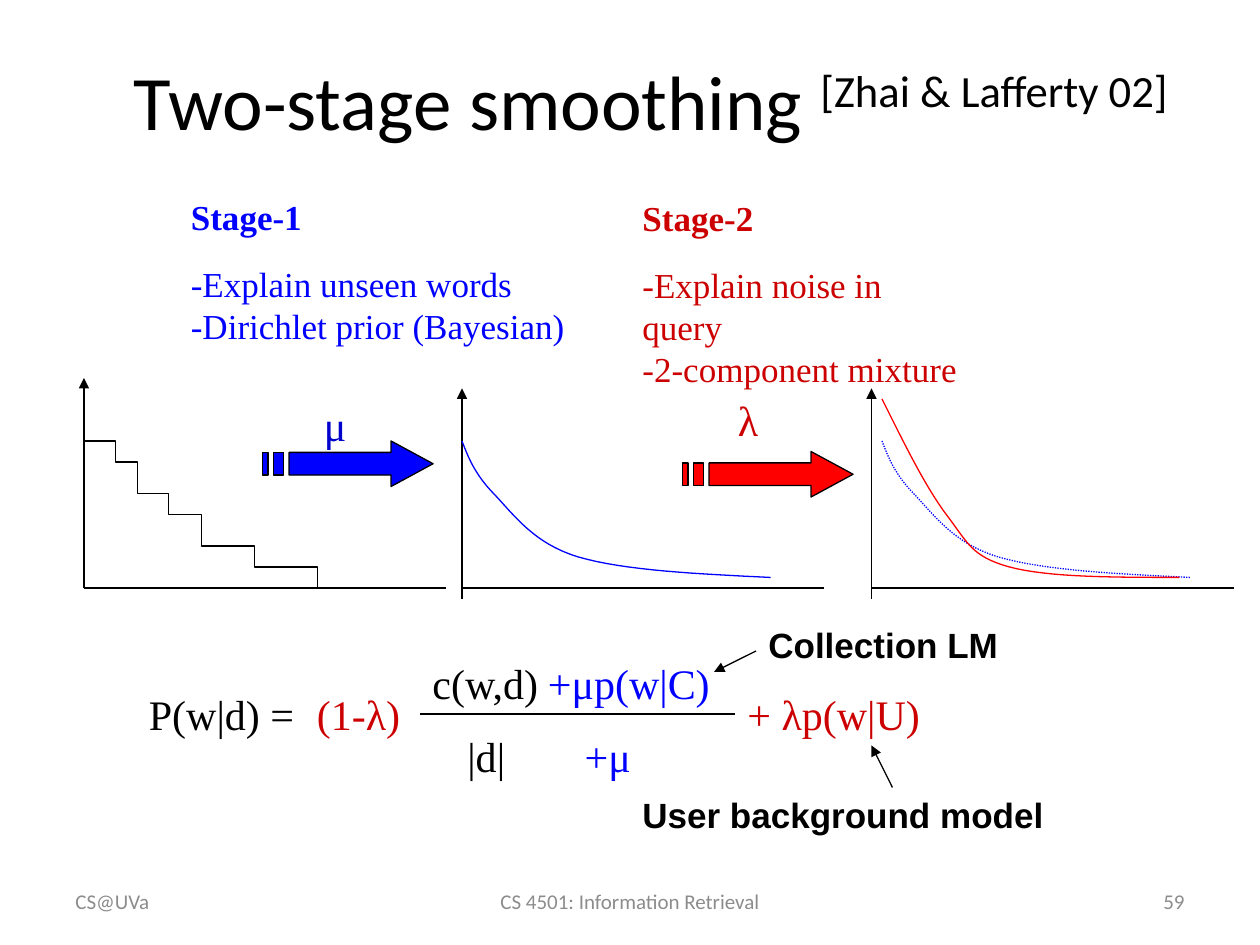
from dataclasses import dataclass

from lxml.etree import SubElement
from pptx import Presentation
from pptx.dml.color import RGBColor
from pptx.enum.dml import MSO_LINE
from pptx.enum.shapes import MSO_CONNECTOR
from pptx.enum.text import MSO_ANCHOR, MSO_AUTO_SIZE, PP_ALIGN
from pptx.oxml.ns import qn
from pptx.util import Pt

Point = tuple[float, float]


@dataclass(frozen=True)
class Theme:
    black: str = "000000"
    grey: str = "8C8C8C"
    blue: str = "0000FF"
    dark_blue: str = "0000CC"
    red: str = "FF0000"
    dark_red: str = "CC0000"
    sans: str = "Calibri"
    serif: str = "Times New Roman"
    label: str = "Arial"
    title_size: float = 44
    formula_size: float = 24
    body_size: float = 20
    footer_size: float = 12
    stage_gap: float = 14.5
    line_width: float = 0.75


THEME = Theme()


@dataclass(frozen=True)
class Label:
    lines: tuple[str, ...]
    box: tuple[float, float, float, float]
    color: str = THEME.black
    font: str = THEME.serif
    size: float = THEME.formula_size
    bold_first: bool = False
    wrap: bool = False
    align: PP_ALIGN = PP_ALIGN.LEFT
    anchor: MSO_ANCHOR = MSO_ANCHOR.TOP


@dataclass(frozen=True)
class Line:
    start: Point
    end: Point
    arrow: bool = False


@dataclass(frozen=True)
class Curve:
    origin: Point
    controls: tuple[Point, ...]
    color: str
    dash: MSO_LINE | None = None


def apply_format(target, values: dict) -> None:
    for name, value in values.items():
        setattr(target, name, value)


def set_line(line, color: str = THEME.black, dash: MSO_LINE | None = None) -> None:
    line.color.rgb = RGBColor.from_string(color)
    apply_format(line, {"width": Pt(THEME.line_width), "dash_style": dash})


def draw_label(slide, label: Label):
    shape = slide.shapes.add_textbox(*map(Pt, label.box))
    frame = shape.text_frame
    grows = label.anchor == MSO_ANCHOR.TOP
    apply_format(frame, {
        "word_wrap": label.wrap,
        "vertical_anchor": label.anchor,
        "auto_size": MSO_AUTO_SIZE.SHAPE_TO_FIT_TEXT if grows else MSO_AUTO_SIZE.NONE,
    })
    for index, text in enumerate(label.lines):
        paragraph = frame.add_paragraph() if index else frame.paragraphs[0]
        paragraph.alignment = label.align
        if index == 1:
            paragraph.space_before = Pt(THEME.stage_gap)
        run = paragraph.add_run()
        run.text = text
        apply_format(run.font, {
            "name": label.font,
            "size": Pt(label.size),
            "bold": label.bold_first and index == 0,
        })
        run.font.color.rgb = RGBColor.from_string(label.color)
    return shape


def draw_title(slide, text: str, citation: str) -> None:
    shape = draw_label(slide, Label(
        (text,), (54, 12, 636, 90), font=THEME.sans, size=THEME.title_size,
        wrap=True, align=PP_ALIGN.CENTER, anchor=MSO_ANCHOR.MIDDLE))
    run = shape.text_frame.paragraphs[0].add_run()
    run.text = citation
    apply_format(run.font, {"name": THEME.sans, "size": Pt(THEME.title_size)})
    run.font.color.rgb = RGBColor.from_string(THEME.black)
    run.font._element.set("baseline", "30000")


def draw_line(slide, line: Line) -> None:
    connector = slide.shapes.add_connector(
        MSO_CONNECTOR.STRAIGHT, *map(Pt, line.start + line.end))
    set_line(connector.line)
    if line.arrow:
        SubElement(connector.line._get_or_add_ln(), qn("a:tailEnd"), type="triangle")
    SubElement(connector._element.spPr, qn("a:effectLst"))


def draw_outline(slide, origin: Point, contours: list[list[Point]],
                 closed: bool = False, color: str = THEME.black,
                 dash: MSO_LINE | None = None, fill: str | None = None) -> None:
    placed = [[(Pt(origin[0] + x), Pt(origin[1] + y)) for x, y in contour]
              for contour in contours]
    builder = slide.shapes.build_freeform(*placed[0][0])
    for index, points in enumerate(placed):
        if index:
            builder.move_to(*points[0])
        builder.add_line_segments(points[1:], close=closed)
    shape = builder.convert_to_shape()
    shape.shadow.inherit = False
    set_line(shape.line, color, dash)
    if fill:
        shape.fill.solid()
        shape.fill.fore_color.rgb = RGBColor.from_string(fill)
    else:
        shape.fill.background()


def sample_curve(controls: tuple[Point, ...], steps: int = 16) -> list[Point]:
    """Points along joined cubic Bézier segments."""
    points = [controls[0]]
    for first in range(0, len(controls) - 1, 3):
        segment = controls[first:first + 4]
        for step in range(1, steps + 1):
            t = step / steps
            weights = ((1 - t) ** 3, 3 * t * (1 - t) ** 2, 3 * t * t * (1 - t), t ** 3)
            points.append(tuple(sum(weight * point[axis] for weight, point
                                    in zip(weights, segment)) for axis in (0, 1)))
    return points


def rectangle(left: float, right: float, top: float, bottom: float) -> list[Point]:
    return [(left, top), (right, top), (right, bottom), (left, bottom)]


# Plots: origin x, vertical axis bottom and top
BASELINE, AXIS_LENGTH = 336, 207
AXES = ((48, 336, 216), (264, 342, 222), (498, 342, 222))
STEP_X = (0, 18, 30.5, 48.5, 67, 97.5, 133.5, 164)
STEP_Y = (0, 12, 30, 42, 60, 72, 84)
SMOOTHED = ((0, 0), (3.6, 9.4), (7.2, 18.7), (18, 30), (29, 41.3),
            (40.5, 58.5), (66.5, 66.3), (93, 74), (134.5, 76), (176.4, 78))
MIXED = ((0, 0), (12.2, 24.5), (24.5, 49.7), (36.7, 66), (49, 82.1),
         (51, 90), (72.7, 96), (95, 102), (132.5, 102), (170, 102))
CURVES = (
    Curve((264, 252), SMOOTHED, THEME.blue),
    Curve((504, 252), SMOOTHED, THEME.blue, MSO_LINE.ROUND_DOT),
    Curve((504, 228), MIXED, THEME.red),
)

# Striped block arrow
ARROW = [
    [(73.5, 0), (73.5, 6.5), (15.2, 6.5), (15.2, 19.5), (73.5, 19.5), (73.5, 26), (97.5, 13)],
    rectangle(6.2, 12.2, 6.5, 19.5),
    rectangle(0, 3.2, 6.5, 19.5),
]

# Fraction bar and pointers
LINES = (
    Line((240, 408), (420, 408)),
    Line((432, 372), (408, 384), arrow=True),
    Line((510, 450), (498, 426), arrow=True),
)

STAGE = {"size": THEME.body_size, "bold_first": True}
CALLOUT = STAGE | {"font": THEME.label}
FOOTER = {"color": THEME.grey, "font": THEME.sans, "size": THEME.footer_size,
          "wrap": True, "anchor": MSO_ANCHOR.MIDDLE}
LABELS = (
    # Stages
    Label(("Stage-1", "-Explain unseen words", "-Dirichlet prior (Bayesian)"),
          (102, 108, 230, 94), THEME.blue, **STAGE),
    Label(("Stage-2", "-Explain noise in query", "-2-component mixture"),
          (360, 108.5, 198, 94), THEME.dark_red, wrap=True, **STAGE),
    Label(("μ",), (178, 225, 28, 36), THEME.dark_blue),
    Label(("λ",), (414.5, 222, 27, 36), THEME.dark_red),
    # Formula
    Label(("P(w|d) =",), (78, 390, 108, 36), wrap=True),
    Label(("(1-λ)",), (174, 390, 63, 36), THEME.dark_red),
    Label(("c(w,d)",), (240, 372, 76, 36)),
    Label(("+μp(w|C)",), (306, 372, 108, 36), THEME.blue),
    Label(("|d|",), (260, 414, 36, 36)),
    Label(("+μ",), (327, 414, 42, 36), THEME.blue),
    Label(("+ λp(w|U)",), (420, 390, 120, 36), THEME.dark_red, wrap=True),
    # Callouts
    Label(("Collection LM",), (432, 353, 160, 31), wrap=True, **CALLOUT),
    Label(("User background model",), (360, 450, 324, 31), wrap=True, **CALLOUT),
    # Footer
    Label(("CS@UVa",), (36, 500.5, 168, 29), **FOOTER),
    Label(("CS 4501: Information Retrieval",), (246, 500.5, 228, 29),
          align=PP_ALIGN.CENTER, **FOOTER),
    Label(("59",), (516, 500.5, 168, 29), align=PP_ALIGN.RIGHT, **FOOTER),
)


def main() -> None:
    presentation = Presentation()
    apply_format(presentation, {"slide_width": Pt(720), "slide_height": Pt(540)})
    slide = presentation.slides.add_slide(presentation.slide_layouts[6])
    draw_title(slide, "Two-stage smoothing ", "[Zhai & Lafferty 02]")
    for x, bottom, top in AXES:
        draw_line(slide, Line((x, BASELINE), (x + AXIS_LENGTH, BASELINE)))
        draw_line(slide, Line((x, bottom), (x, top), arrow=True))
    stairs = [(x, y) for index, y in enumerate(STEP_Y) for x in STEP_X[index:index + 2]]
    draw_outline(slide, (48, 252), [stairs])
    for curve in CURVES:
        draw_outline(slide, curve.origin, [sample_curve(curve.controls)],
                     color=curve.color, dash=curve.dash)
    for origin, fill in (((150, 252), THEME.blue), ((390, 258), THEME.red)):
        draw_outline(slide, origin, ARROW, closed=True, fill=fill)
    for line in LINES:
        draw_line(slide, line)
    for label in LABELS:
        draw_label(slide, label)
    presentation.save("out.pptx")


if __name__ == "__main__":
    main()
